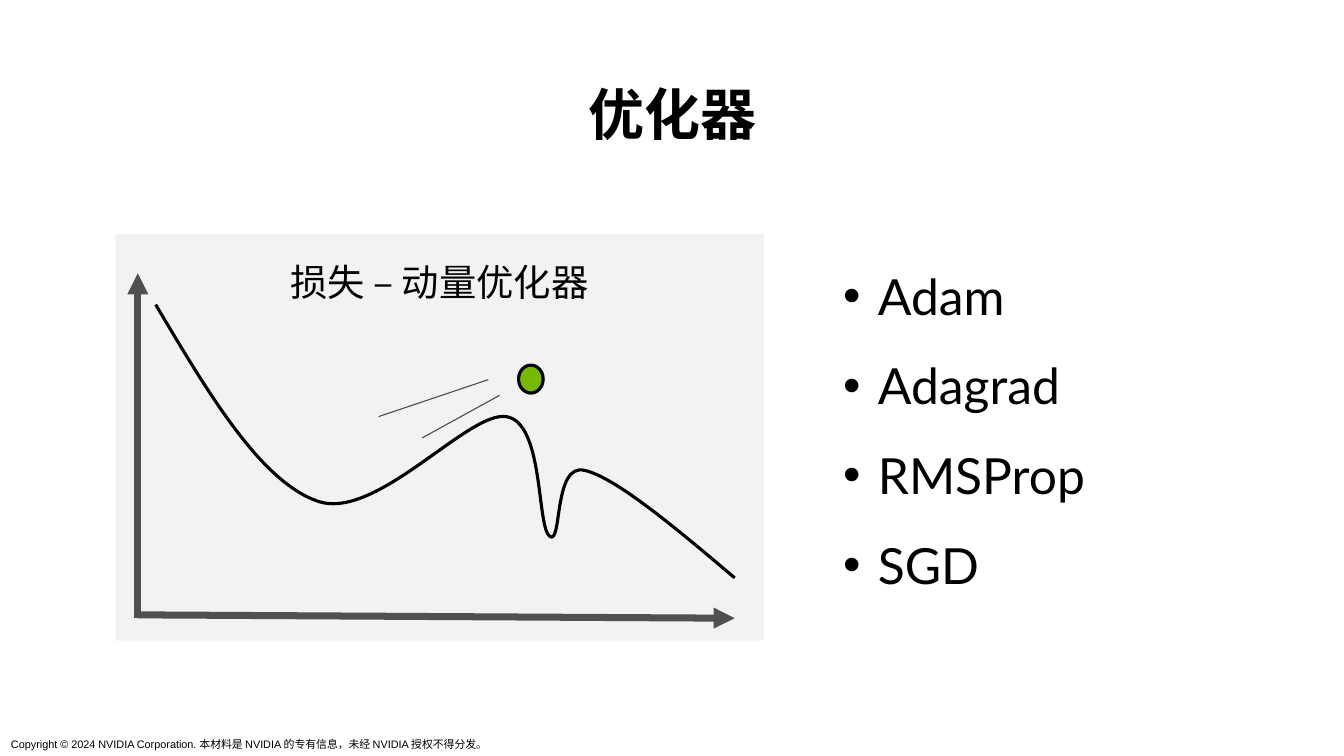
from lxml import etree
from pptx import Presentation
from pptx.dml.color import RGBColor
from pptx.enum.shapes import MSO_CONNECTOR, MSO_SHAPE
from pptx.enum.text import MSO_ANCHOR, PP_ALIGN
from pptx.oxml.ns import qn
from pptx.util import Inches, Pt

STRAIGHT = MSO_CONNECTOR.STRAIGHT
RECTANGLE, OVAL = MSO_SHAPE.RECTANGLE, MSO_SHAPE.OVAL
TOP, MIDDLE, BOTTOM = MSO_ANCHOR.TOP, MSO_ANCHOR.MIDDLE, MSO_ANCHOR.BOTTOM
LEFT, CENTER = PP_ALIGN.LEFT, PP_ALIGN.CENTER

BLACK, GRAY, PANEL_GRAY, GREEN = "000000", "505050", "F2F2F2", "76B900"

TITLE = "优化器"
CHART_TITLE = "损失 – 动量优化器"
OPTIMIZERS = ["Adam", "Adagrad", "RMSProp", "SGD"]
COPYRIGHT = "Copyright © 2024 NVIDIA Corporation. 本材料是 NVIDIA 的专有信息，未经 NVIDIA 授权不得分发。"

LOSS_START = (1.39, 2.72)
LOSS_CURVES = [
    [(1.86, 3.51), (2.33, 4.31), (2.85, 4.48)],
    [(3.37, 4.64), (4.18, 3.67), (4.52, 3.72)],
    [(4.86, 3.77), (4.79, 4.71), (4.91, 4.79)],
    [(5.02, 4.87), (4.94, 4.13), (5.22, 4.2)],
    [(5.49, 4.26), (6.03, 4.71), (6.56, 5.16)],
]
AXES = [((1.23, 5.52), (1.23, 2.44)), ((1.23, 5.49), (6.56, 5.52))]
MOTION_LINES = [((4.46, 3.53), (3.77, 3.91)), ((4.36, 3.39), (3.38, 3.72))]


def color(value):
    return RGBColor.from_string(value)


def inches(values):
    return [Inches(value) for value in values]


def set_line(line, value, width):
    line.color.rgb = color(value)
    line.width = Pt(width)


def add_run(paragraph, text, size, font="Lato", bold=False):
    run = paragraph.add_run()
    run.text = text
    run.font.name = font
    run.font.size = Pt(size)
    run.font.bold = bold
    run.font.color.rgb = color(BLACK)


def add_text(slide, box, anchor, wrap=True):
    frame = slide.shapes.add_textbox(*inches(box)).text_frame
    frame.word_wrap = wrap
    frame.vertical_anchor = anchor
    return frame


def add_filled(slide, kind, box, fill):
    shape = slide.shapes.add_shape(kind, *inches(box))
    shape.shadow.inherit = False
    shape.fill.solid()
    shape.fill.fore_color.rgb = color(fill)
    return shape


def add_line(slide, start, end, width, arrow=False):
    line = slide.shapes.add_connector(STRAIGHT, *inches(start + end))
    set_line(line.line, GRAY, width)
    properties = line._element.spPr
    if arrow:
        etree.SubElement(properties.find(qn("a:ln")), qn("a:tailEnd"), type="triangle")
    etree.SubElement(properties, qn("a:effectLst"))


def add_loss_curve(slide):
    builder = slide.shapes.build_freeform(*inches(LOSS_START), scale=1.0)
    points = [inches(point) for curve in LOSS_CURVES for point in curve]
    builder.add_line_segments(points, close=False)
    loss = builder.convert_to_shape()
    loss.shadow.inherit = False
    loss.fill.background()
    set_line(loss.line, BLACK, 2)
    segments = list(loss._element.iter(qn("a:lnTo")))
    for first in range(0, len(segments), 3):
        bezier = etree.Element(qn("a:cubicBezTo"))
        segments[first].addprevious(bezier)
        for segment in segments[first:first + 3]:
            bezier.append(segment[0])
            segment.getparent().remove(segment)


def add_bullet(paragraph):
    properties = paragraph._p.get_or_add_pPr()
    properties.set("marL", str(Inches(0.31)))
    properties.set("indent", str(-Inches(0.31)))
    etree.SubElement(properties, qn("a:buFont"), typeface="Arial")
    etree.SubElement(properties, qn("a:buChar"), char="•")


def main():
    deck = Presentation()
    deck.slide_width, deck.slide_height = Inches(12), Inches(6.75)
    slide = deck.slides.add_slide(deck.slide_layouts[6])

    footer = add_text(slide, (0, 6.53, 4.53, 0.22), BOTTOM, wrap=False)
    add_run(footer.paragraphs[0], COPYRIGHT, 7, "Arial")

    heading = add_text(slide, (0.55, 0.72, 10.91, 0.65), BOTTOM).paragraphs[0]
    heading.alignment = CENTER
    heading.line_spacing = 0.9
    add_run(heading, TITLE, 36, bold=True)

    panel = add_filled(slide, RECTANGLE, (1.03, 2.09, 5.79, 3.63), PANEL_GRAY)
    panel.line.fill.background()
    panel.text_frame.vertical_anchor = TOP
    panel.text_frame.margin_top = Inches(0.22)
    chart_heading = panel.text_frame.paragraphs[0]
    chart_heading.alignment = CENTER
    add_run(chart_heading, CHART_TITLE, 24)

    add_loss_curve(slide)
    for start, end in AXES:
        add_line(slide, start, end, 4.5, arrow=True)
    ball = add_filled(slide, OVAL, (4.63, 3.26, 0.22, 0.25), GREEN)
    set_line(ball.line, BLACK, 2)
    for start, end in MOTION_LINES:
        add_line(slide, start, end, 0.75)

    optimizers = add_text(slide, (7.43, 2.09, 3.35, 3.23), MIDDLE)
    for index, name in enumerate(OPTIMIZERS):
        item = optimizers.add_paragraph() if index else optimizers.paragraphs[0]
        item.alignment = LEFT
        item.line_spacing = 1.5
        add_bullet(item)
        add_run(item, name, 32)

    deck.save("out.pptx")


if __name__ == "__main__":
    main()
